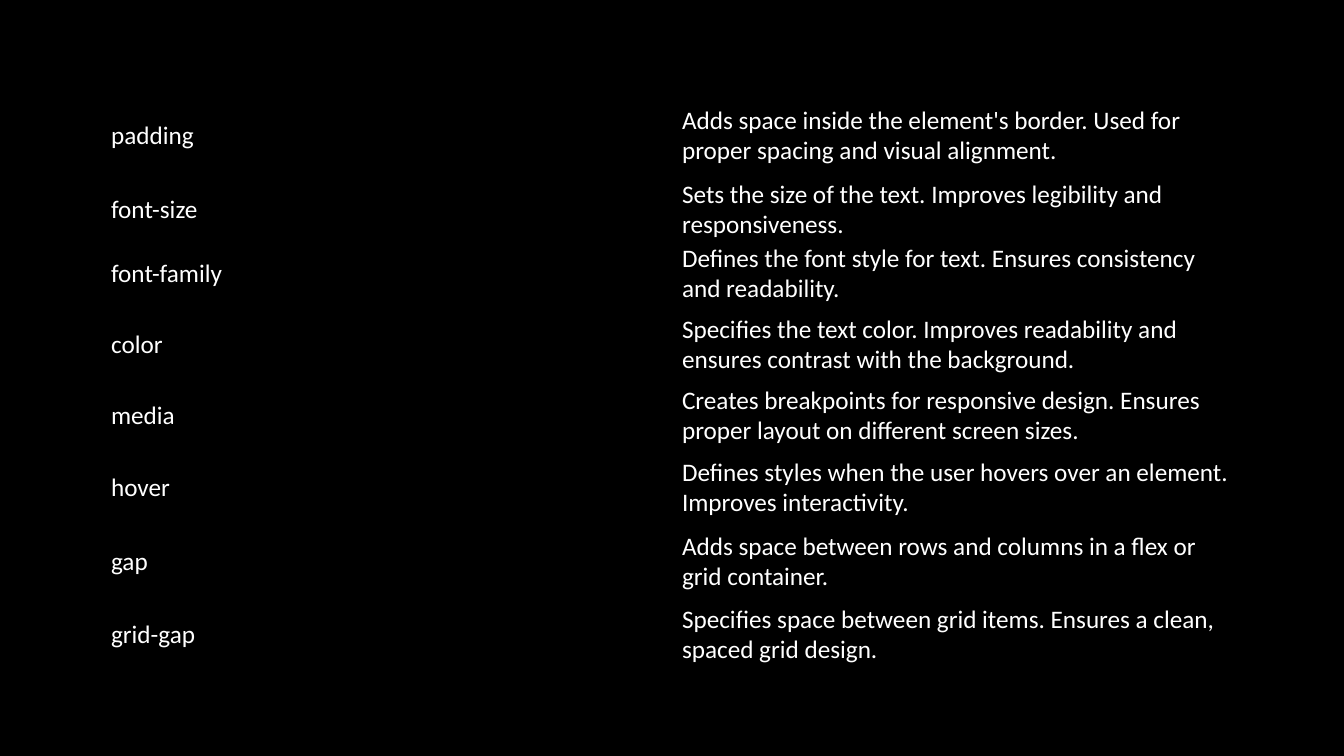
from lxml.etree import SubElement
from pptx import Presentation
from pptx.dml.color import RGBColor
from pptx.enum.text import MSO_ANCHOR
from pptx.oxml.ns import qn
from pptx.util import Emu, Pt

SCALE = 12192000 / 1344
PAGE_WIDTH, PAGE_HEIGHT = 1344, 756
TABLE_LEFT, COLUMN_WIDTH, ROW_HEIGHT = 101, 571, 71
BLACK, WHITE = "000000", "FFFFFF"
TEXT_FORMAT = {"name": "Calibri", "size": Pt(18), "bold": False}

PROPERTIES = [
    (100, "padding", "Adds space inside the element's border. Used for proper spacing and visual alignment."),
    (174, "font-size", "Sets the size of the text. Improves legibility and responsiveness."),
    (238, "font-family", "Defines the font style for text. Ensures consistency and readability."),
    (309, "color", "Specifies the text color. Improves readability and ensures contrast with the background."),
    (380, "media", "Creates breakpoints for responsive design. Ensures proper layout on different screen sizes."),
    (452, "hover", "Defines styles when the user hovers over an element. Improves interactivity."),
    (526, "gap", "Adds space between rows and columns in a flex or grid container."),
    (599, "grid-gap", "Specifies space between grid items. Ensures a clean, spaced grid design."),
]


def px(length):
    """Turn px into EMU."""
    return Emu(round(length * SCALE))


def paint(color_format, color):
    """Set a colour from a hex string."""
    color_format.rgb = RGBColor.from_string(color)


def clear_cell(cell):
    """Remove the borders and fill of a cell."""
    properties = cell._tc.get_or_add_tcPr()
    for side in ("a:lnL", "a:lnR", "a:lnT", "a:lnB"):
        border = SubElement(properties, qn(side), w="0")
        SubElement(border, qn("a:noFill"))
    cell.fill.background()


def write_cell(cell, text):
    """Write plain white text, centred vertically, in a clear cell."""
    clear_cell(cell)
    cell.vertical_anchor = MSO_ANCHOR.MIDDLE
    span = cell.text_frame.paragraphs[0].add_run()
    span.text = text
    for key, value in TEXT_FORMAT.items():
        setattr(span.font, key, value)
    paint(span.font.color, WHITE)


def add_property_row(page, box, texts):
    """Place one property and its description as a one-row table."""
    frame = page.shapes.add_table(1, len(texts), *map(px, box))
    table = frame.table
    table.first_row = table.horz_banding = False
    for column, text in enumerate(texts):
        table.columns[column].width = px(box[2] / len(texts))
        write_cell(table.cell(0, column), text)


def add_property_page(deck):
    """Build the black page of property rows."""
    page = deck.slides.add_slide(deck.slide_layouts[6])
    fill = page.background.fill
    fill.solid()
    paint(fill.fore_color, BLACK)
    for top, name, description in PROPERTIES:
        box = (TABLE_LEFT, top, 2 * COLUMN_WIDTH, ROW_HEIGHT)
        add_property_row(page, box, (name, description))


def main():
    """Create and save the deck."""
    deck = Presentation()
    deck.slide_width, deck.slide_height = px(PAGE_WIDTH), px(PAGE_HEIGHT)
    add_property_page(deck)
    deck.save("out.pptx")


if __name__ == "__main__":
    main()
